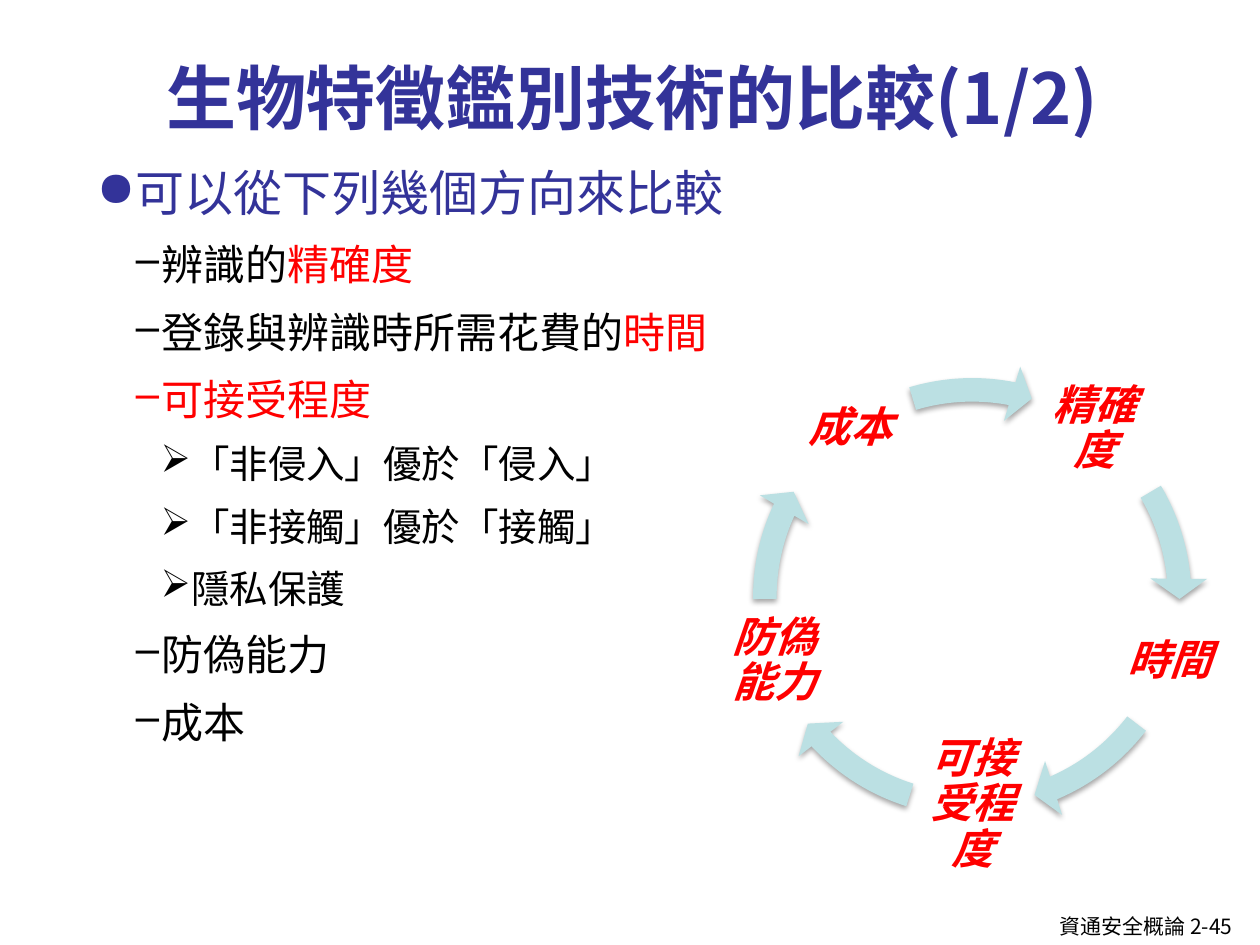
"""Builds the slide comparing biometric authentication techniques."""
from math import cos, radians, sin

from lxml.etree import SubElement
from pptx import Presentation
from pptx.dml.color import RGBColor
from pptx.enum.shapes import MSO_SHAPE
from pptx.enum.text import MSO_ANCHOR, MSO_AUTO_SIZE, PP_ALIGN
from pptx.oxml import parse_xml
from pptx.oxml.ns import nsdecls, qn
from pptx.util import Cm, Pt

NAVY = RGBColor(0x33, 0x33, 0x99)
BLACK = RGBColor(0x00, 0x00, 0x00)
RED = RGBColor(0xFF, 0x00, 0x00)
AQUA = RGBColor(0xBB, 0xE0, 0xE3)
SIMPLIFIED = "Noto Sans CJK SC"
TRADITIONAL = "Noto Sans CJK TC"


def add_box(shapes, left, top, width, height):
    box = shapes.add_textbox(Cm(left), Cm(top), Cm(width), Cm(height))
    box.text_frame.word_wrap = True
    return box.text_frame


def style_span(span, size, face, color, bold=False, italic=False):
    span.font.size = Pt(size)
    span.font.name = face
    span.font.color.rgb = color
    span.font.bold = bold
    span.font.italic = italic
    SubElement(span.font._element, qn("a:ea")).set("typeface", face)


deck = Presentation()
deck.slide_width = Cm(25.4)
deck.slide_height = Cm(19.05)
page = deck.slides.add_slide(deck.slide_layouts[6])

footer = add_box(page.shapes, 21.11, 18.29, 4.29, 0.76)
footer.word_wrap = False
footer.auto_size = MSO_AUTO_SIZE.SHAPE_TO_FIT_TEXT
footer.text = "資通安全概論 2-45"
style_span(footer.paragraphs[0].runs[0], 12, SIMPLIFIED, BLACK)

title = add_box(page.shapes, 3.1, 0.33, 20.73, 2.59)
title.vertical_anchor = MSO_ANCHOR.BOTTOM
title.text = "生物特徵鑑別技術的比較(1/2)"
style_span(title.paragraphs[0].runs[0], 40, SIMPLIFIED, NAVY, bold=True)

levels = [
    ("●", 0.79, 0.79, 28, SIMPLIFIED),
    ("–", 1.3, 0.51, 24, TRADITIONAL),
    ("➢", 1.9, 0.61, 22, SIMPLIFIED),
]
outline = [
    (0, [("可以從下列幾個方向來比較", NAVY)]),
    (1, [("辨識的", BLACK), ("精確度", RED)]),
    (1, [("登錄與辨識時所需花費的", BLACK), ("時間", RED)]),
    (1, [("可接受程度", RED)]),
    (2, [("「非侵入」優於「侵入」", BLACK)]),
    (2, [("「非接觸」優於「接觸」", BLACK)]),
    (2, [("隱私保護", BLACK)]),
    (1, [("防偽能力", BLACK)]),
    (1, [("成本", BLACK)]),
]
body = add_box(page.shapes, 1.7, 2.92, 22.43, 14.53)
for index, (level, pieces) in enumerate(outline):
    bullet, margin, hanging, size, face = levels[level]
    para = body.add_paragraph() if index else body.paragraphs[0]
    properties = para._p.get_or_add_pPr()
    properties.set("marL", str(Cm(margin)))
    properties.set("indent", str(-Cm(hanging)))
    SubElement(properties, qn("a:buChar")).set("char", bullet)
    para.level = level
    para.alignment = PP_ALIGN.JUSTIFY
    para.line_spacing = 1.2
    para.space_before = Pt(2 if index else 0)
    para.space_after = Pt(2)
    for words, color in pieces:
        span = para.add_run()
        span.text = words
        style_span(span, size, face, color)

center_x, center_y, radius = 19.6, 12.04, 4.19
label_size, ring_size = 2.54, 9.5
cycle = [
    ("精確度", 329.44, 354.88),
    ("時間", 37.56, 66.9),
    ("可接受程度", 107.5, 136.84),
    ("防偽能力", 179.52, 204.96),
    ("成本", 253.31, 281.09),
]
ring = page.shapes.add_group_shape().shapes
for index, (words, start, end) in enumerate(cycle):
    angle = radians(72 * index - 54)
    label = add_box(
        ring,
        center_x + radius * cos(angle) - label_size / 2,
        center_y + radius * sin(angle) - label_size / 2,
        label_size,
        label_size,
    )
    label.margin_left = label.margin_right = Cm(0.08)
    label.margin_top = label.margin_bottom = Cm(0.08)
    label.vertical_anchor = MSO_ANCHOR.MIDDLE
    label.text = words
    para = label.paragraphs[0]
    para.alignment = PP_ALIGN.CENTER
    para.line_spacing = 0.9
    style_span(para.runs[0], 24, TRADITIONAL, RED, bold=True, italic=True)

    arrow = ring.add_shape(
        MSO_SHAPE.CIRCULAR_ARROW,
        Cm(center_x - ring_size / 2),
        Cm(center_y - ring_size / 2),
        Cm(ring_size),
        Cm(ring_size),
    )
    for position, value in enumerate([0.05, 3.36, end * 0.6, start * 0.6, 0.06]):
        arrow.adjustments[position] = value
    arrow.fill.solid()
    arrow.fill.fore_color.rgb = AQUA
    arrow.line.fill.background()
    arrow._element.spPr.append(parse_xml(
        f'<a:effectLst {nsdecls("a")}>'
        '<a:outerShdw blurRad="40000" dist="23000" dir="5400000" rotWithShape="0">'
        '<a:srgbClr val="000000"><a:alpha val="35000"/></a:srgbClr>'
        '</a:outerShdw></a:effectLst>'
    ))

deck.save("out.pptx")
